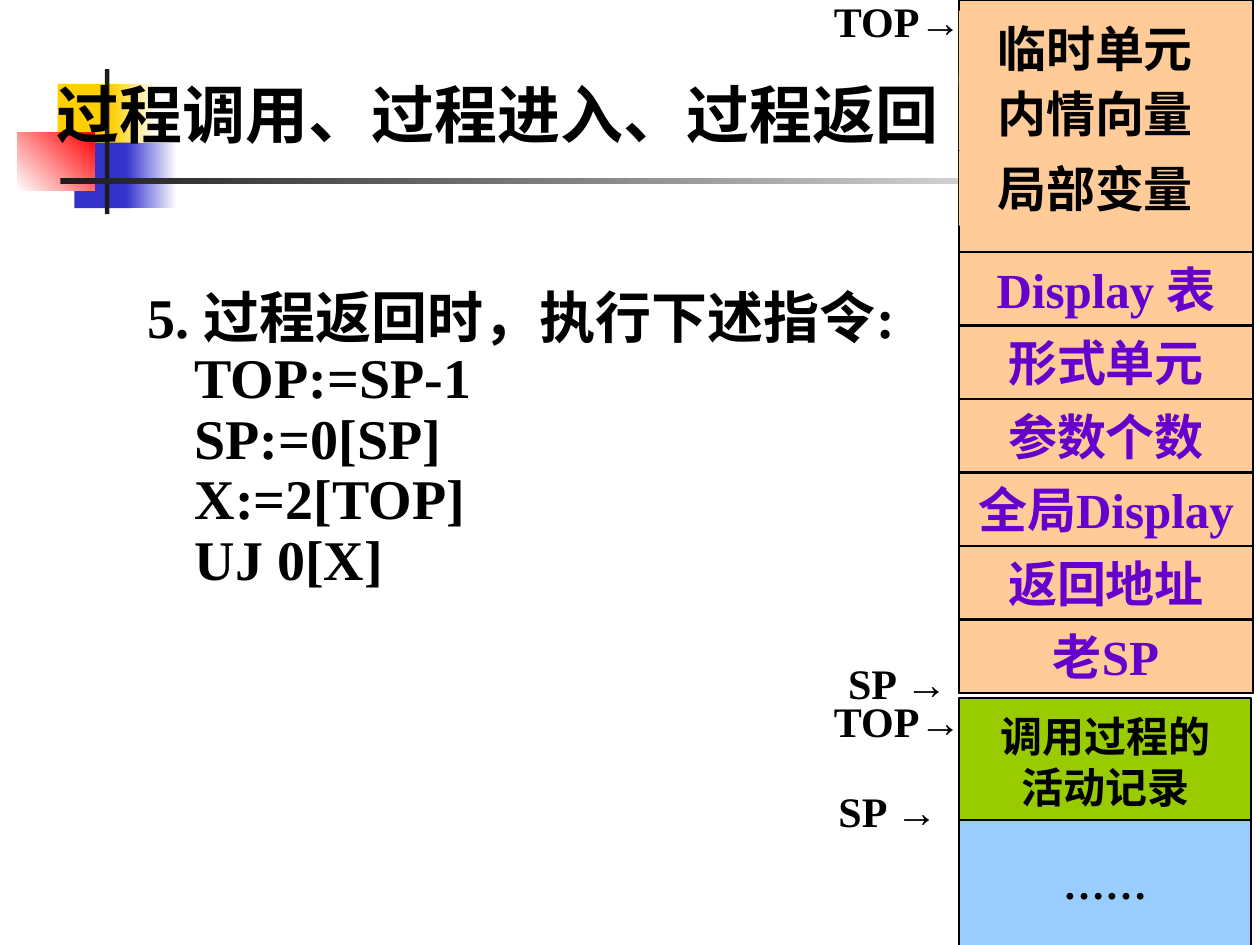
from dataclasses import dataclass
from typing import Optional

from lxml import etree
from pptx import Presentation
from pptx.dml.color import RGBColor
from pptx.enum.shapes import MSO_SHAPE
from pptx.enum.text import MSO_ANCHOR, MSO_AUTO_SIZE, PP_ALIGN
from pptx.oxml.ns import qn
from pptx.util import Pt

RECTANGLE = MSO_SHAPE.RECTANGLE
MIDDLE, TOP = MSO_ANCHOR.MIDDLE, MSO_ANCHOR.TOP
CENTER, LEFT = PP_ALIGN.CENTER, PP_ALIGN.LEFT
NO_AUTOFIT = MSO_AUTO_SIZE.NONE

SERIF, SANS = "Times New Roman", "Arial"
BLACK, WHITE, PURPLE, PEACH = "000000", "FFFFFF", "6600CC", "FFCC99"
STACK_LEFT, STACK_WIDTH = 548, 168
FIELD_TOP, FIELD_HEIGHT = 144, 42
HANGING = 27

FIELDS = ["Display 表", "形式单元", "参数个数", "全局Display", "返回地址", "老SP"]
INSTRUCTIONS = ["TOP:=SP-1", "SP:=0[SP]", "X:=2[TOP]", "UJ 0[X]"]


@dataclass
class Box:
    left: float
    top: float
    width: float
    height: float
    fill: str
    fade: Optional[str] = None
    angle: float = 0
    line_width: float = 0
    text: str = ""
    size: float = 28
    color: str = BLACK


@dataclass
class Pointer:
    name: str
    left: float
    top: float


DECORATIONS = [
    Box(33, 48, 35, 37.5, "FFCF01"),
    Box(63.5, 48, 26, 37.5, "FFCF01", fade=WHITE),
    Box(42.5, 81.5, 33, 37.5, "3333CC"),
    Box(72, 81.5, 29, 37.5, "3333CC", fade=WHITE),
    Box(10, 75.5, 44, 33.5, WHITE, fade="FF0000", angle=45),
    Box(60, 39.5, 2.5, 83, "1C1C1C"),
    Box(34.5, 102, 648, 3, "1C1C1C", fade=WHITE),
]

LOCAL_DATA = [
    Box(STACK_LEFT, top, 155.5, 43, PEACH, text=text)
    for text, top in [("临时单元", 6), ("内情向量", 43), ("局部变量", 86)]
]

RECORDS = [
    Box(STACK_LEFT, 399, 167, 72, "99CC00", line_width=1,
        text="调用过程的\n活动记录", size=24),
    Box(STACK_LEFT, 468.5, 167, 72, "99CCFF", line_width=1, text="……", size=24),
]

POINTERS = [
    Pointer("TOP", 462, 0),
    Pointer("SP ", 462, 378),
    Pointer("TOP", 462, 400),
    Pointer("SP ", 456.5, 451.5),
]


def rgb(color: str) -> RGBColor:
    return RGBColor.from_string(color)


def style(font, size: float, color: str = BLACK) -> None:
    font.name, font.size, font.bold = SERIF, Pt(size), True
    font.color.rgb = rgb(color)


def place(shape, left: float, top: float, width: float, height: float) -> None:
    shape.left, shape.top = Pt(left), Pt(top)
    shape.width, shape.height = Pt(width), Pt(height)


def draw_box(slide, box: Box) -> None:
    shape = slide.shapes.add_shape(
        RECTANGLE, Pt(box.left), Pt(box.top), Pt(box.width), Pt(box.height))
    shape.shadow.inherit = False
    if box.fade:
        shape.fill.gradient()
        shape.fill.gradient_angle = box.angle
        for stop, color in zip(shape.fill.gradient_stops, (box.fill, box.fade)):
            stop.color.rgb = rgb(color)
    else:
        shape.fill.solid()
        shape.fill.fore_color.rgb = rgb(box.fill)
    if box.line_width:
        shape.line.color.rgb = rgb(BLACK)
        shape.line.width = Pt(box.line_width)
    else:
        shape.line.fill.background()
    if box.text:
        frame = shape.text_frame
        frame.word_wrap = False
        frame.vertical_anchor = MIDDLE
        frame.text = box.text
        for paragraph in frame.paragraphs:
            paragraph.alignment = CENTER
            style(paragraph.font, box.size, box.color)


def draw_pointer(slide, pointer: Pointer) -> None:
    label = slide.shapes.add_textbox(Pt(pointer.left), Pt(pointer.top), Pt(102), Pt(24))
    frame = label.text_frame
    frame.word_wrap = False
    frame.vertical_anchor = MIDDLE
    paragraph = frame.paragraphs[0]
    paragraph.alignment = CENTER
    style(paragraph.font, 24)
    paragraph.add_run().text = pointer.name
    arrow = paragraph.add_run()
    arrow.text = "→"
    arrow.font.name = SANS


def fill_title(title) -> None:
    place(title, 25, 37.5, 521.5, 54)
    frame = title.text_frame
    frame.text = "过程调用、过程进入、过程返回"
    frame.auto_size = NO_AUTOFIT
    frame.vertical_anchor = MIDDLE
    paragraph = frame.paragraphs[0]
    paragraph.alignment = LEFT
    style(paragraph.font, 36)


def fill_body(body) -> None:
    place(body, 77, 162, 476, 239)
    frame = body.text_frame
    frame.text = "\n".join(
        ["5. 过程返回时，执行下述指令:"] + [f"\t{line}" for line in INSTRUCTIONS])
    frame.auto_size = NO_AUTOFIT
    frame.vertical_anchor = TOP
    for paragraph in frame.paragraphs:
        properties = paragraph._p.get_or_add_pPr()
        properties.set("marL", str(Pt(HANGING)))
        properties.set("indent", str(-Pt(HANGING)))
        etree.SubElement(properties, qn("a:buNone"))
        paragraph.line_spacing = 0.9
        paragraph.space_before = Pt(0)
        style(paragraph.font, 32)


def main() -> None:
    presentation = Presentation()
    presentation.slide_width, presentation.slide_height = Pt(720), Pt(540)
    slide = presentation.slides.add_slide(presentation.slide_layouts[1])
    title, body = slide.placeholders

    for decoration in DECORATIONS:
        draw_box(slide, decoration)
    # The placeholders belong in front of the decorations.
    for placeholder in (title, body):
        placeholder.element.getparent().append(placeholder.element)
    fill_title(title)
    fill_body(body)

    draw_box(slide, Box(STACK_LEFT, 0, STACK_WIDTH, 396, PEACH, line_width=1.5))
    for index, field in enumerate(FIELDS):
        draw_box(slide, Box(
            STACK_LEFT, FIELD_TOP + index * FIELD_HEIGHT, STACK_WIDTH, FIELD_HEIGHT,
            PEACH, line_width=1.5, text=field, color=PURPLE))
    for box in LOCAL_DATA + RECORDS:
        draw_box(slide, box)
    for pointer in POINTERS:
        draw_pointer(slide, pointer)

    presentation.save("out.pptx")


if __name__ == "__main__":
    main()
